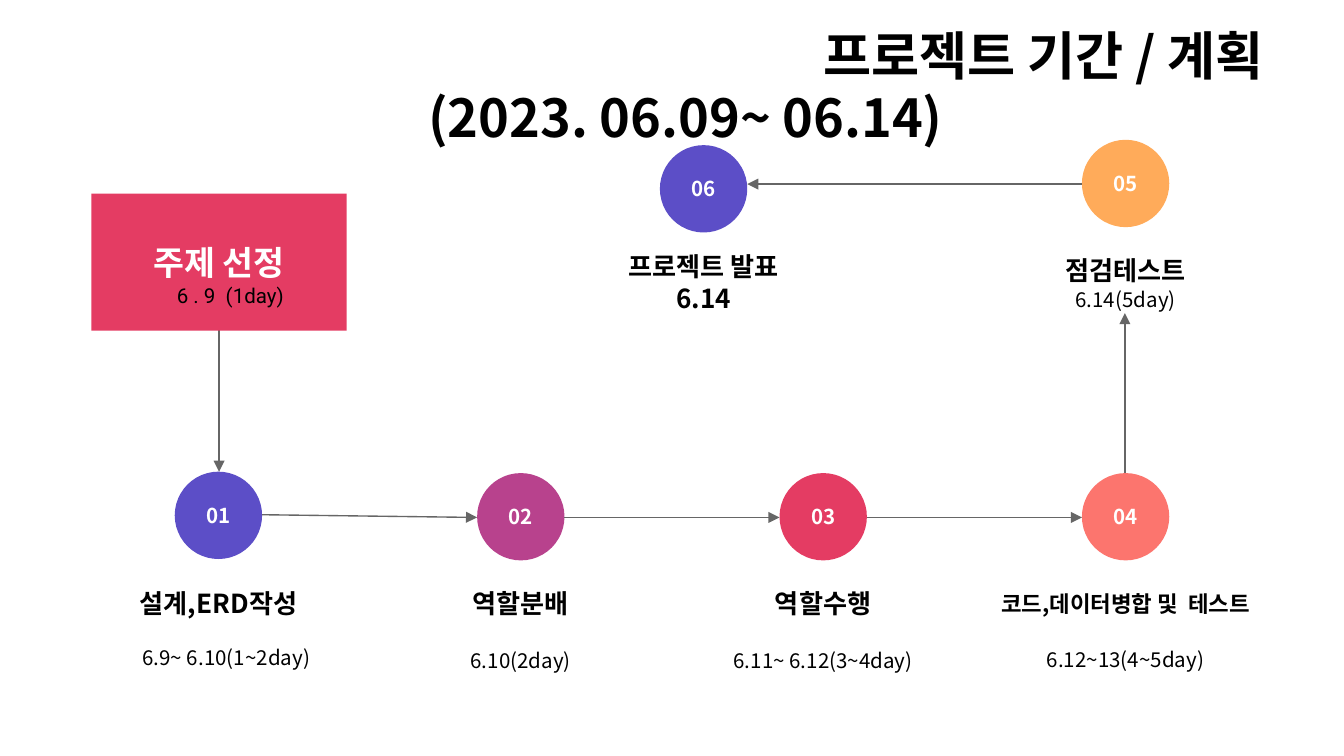
from typing import NamedTuple

from lxml import etree
from pptx import Presentation
from pptx.dml.color import RGBColor
from pptx.enum import shapes, text
from pptx.oxml.ns import qn
from pptx.util import Inches, Pt

BLACK = RGBColor(0x00, 0x00, 0x00)
WHITE = RGBColor(0xFF, 0xFF, 0xFF)
GRAY = RGBColor(0x66, 0x66, 0x66)
INDIGO = RGBColor(0x5C, 0x4E, 0xC7)
PURPLE = RGBColor(0xB8, 0x42, 0x8D)
CRIMSON = RGBColor(0xE4, 0x3C, 0x63)
CORAL = RGBColor(0xFC, 0x75, 0x6E)
ORANGE = RGBColor(0xFF, 0xAB, 0x5A)

FONT = "Noto Sans CJK KR"
DOT = 0.65       # circle diameter
LABEL_W = 2.25   # label width, also the column pitch


class Label(NamedTuple):
    text: str
    top: float
    height: float
    size: int = 11
    bold: bool = False
    shift: float = 0


class Step(NamedTuple):
    number: str
    color: RGBColor
    left: float
    dot_top: float
    labels: list[Label]


class Arrow(NamedTuple):
    x1: float
    y1: float
    x2: float
    y2: float


STEPS = [
    Step("01", INDIGO, 0.5, 3.51, [
        Label("설계,ERD작성", 4.34, 0.3, 14, True),
        Label("6.9~ 6.10(1~2day)", 4.71, 0.37, shift=0.06)]),
    Step("02", PURPLE, 2.75, 3.52, [
        Label("역할분배", 4.34, 0.3, 14, True),
        Label("6.10(2day)", 4.65, 0.52)]),
    Step("03", CRIMSON, 5, 3.52, [
        Label("역할수행", 4.34, 0.3, 14, True),
        Label("6.11~ 6.12(3~4day)", 4.65, 0.52)]),
    Step("04", CORAL, 7.25, 3.52, [
        Label("코드,데이터병합 및  테스트", 4.34, 0.3, 12, True),
        Label("6.12~13(4~5day)", 4.64, 0.53)]),
    Step("05", ORANGE, 7.25, 1.04, [
        Label("점검테스트", 1.86, 0.3, 14, True),
        Label("6.14(5day)", 1.96, 0.53)]),
    Step("06", INDIGO, 4.11, 1.08, [
        Label("프로젝트 발표\n6.14", 1.95, 0.3, 14, True)]),
]

ARROWS = [
    Arrow(1.63, 2.45, 1.63, 3.51),
    Arrow(1.95, 3.83, 3.55, 3.85),
    Arrow(4.2, 3.85, 5.8, 3.85),
    Arrow(6.45, 3.85, 8.05, 3.85),
    Arrow(8.37, 3.52, 8.37, 2.33),
    Arrow(8.05, 1.37, 5.56, 1.37),
]


def write(sp, content: str, *, size: int, color: RGBColor = BLACK,
          bold: bool = False, font: str = FONT) -> None:
    """Fill a shape with centred paragraphs, one per line of content."""
    tf = sp.text_frame
    tf.word_wrap = True
    tf.auto_size = text.MSO_AUTO_SIZE.NONE
    tf.vertical_anchor = text.MSO_ANCHOR.MIDDLE
    tf.margin_left = tf.margin_right = Inches(0.1)
    tf.margin_top = tf.margin_bottom = Inches(0.1)
    for i, line in enumerate(content.split("\n")):
        p = tf.add_paragraph() if i else tf.paragraphs[0]
        p.alignment = text.PP_ALIGN.CENTER
        p.space_before = Pt(0)
        r = p.add_run()
        r.text = line
        r.font.size, r.font.bold, r.font.name = Pt(size), bold, font
        r.font.color.rgb = color
        ea = etree.SubElement(r.font._element, qn("a:ea"))
        ea.set("typeface", font)


def add_filled(s, kind, left: float, top: float, width: float, height: float,
               color: RGBColor):
    sp = s.shapes.add_shape(kind, Inches(left), Inches(top), Inches(width), Inches(height))
    sp.shadow.inherit = False
    sp.fill.solid()
    sp.fill.fore_color.rgb = color
    sp.line.fill.background()
    return sp


def add_text(s, left: float, top: float, width: float, height: float,
             content: str, **fmt) -> None:
    box = s.shapes.add_textbox(Inches(left), Inches(top), Inches(width), Inches(height))
    write(box, content, **fmt)


def add_step(s, step: Step) -> None:
    for label in step.labels:
        add_text(s, step.left + label.shift, label.top, LABEL_W, label.height,
                 label.text, size=label.size, bold=label.bold)
    dot = add_filled(s, shapes.MSO_SHAPE.OVAL, step.left + (LABEL_W - DOT) / 2,
                     step.dot_top, DOT, DOT, step.color)
    write(dot, step.number, size=11, color=WHITE, bold=True)


def add_arrow(s, arrow: Arrow) -> None:
    line = s.shapes.add_connector(shapes.MSO_CONNECTOR.STRAIGHT, *map(Inches, arrow))
    line.line.color.rgb = GRAY
    line.line.width = Pt(0.75)
    etree.SubElement(line.line._get_or_add_ln(), qn("a:tailEnd")).set("type", "triangle")
    etree.SubElement(line._element.spPr, qn("a:effectLst"))


def add_title(s) -> None:
    title = s.shapes.title
    title.left, title.top = Inches(0.5), Inches(0.17)
    title.width, title.height = Inches(9), Inches(0.41)
    write(title, "프로젝트 기간 / 계획\n(2023. 06.09~ 06.14)", size=28, bold=True)
    # Hang both lines from the top edge: the heading right, the dates centred
    tf = title.text_frame
    tf.vertical_anchor = text.MSO_ANCHOR.TOP
    tf.margin_top = 0
    heading, dates = tf.paragraphs
    heading.alignment = text.PP_ALIGN.RIGHT
    dates._p.get_or_add_pPr().set("marL", str(Inches(0.2)))


def main() -> None:
    prs = Presentation()
    prs.slide_width = Inches(10)
    prs.slide_height = prs.slide_width * 9 // 16
    s = prs.slides.add_slide(prs.slide_layouts[5])
    add_title(s)

    # Numbered steps and the arrows between them
    for step in STEPS:
        add_step(s, step)
    for arrow in ARROWS:
        add_arrow(s, arrow)

    # Starting box
    start = add_filled(s, shapes.MSO_SHAPE.RECTANGLE, 0.68, 1.44, 1.9, 1.02, CRIMSON)
    write(start, "주제 선정", size=18, color=WHITE, bold=True)
    add_text(s, 0.81, 2.01, 1.81, 0.38, "6 . 9  (1day)", size=11, font="Roboto")

    prs.save("out.pptx")


if __name__ == "__main__":
    main()
